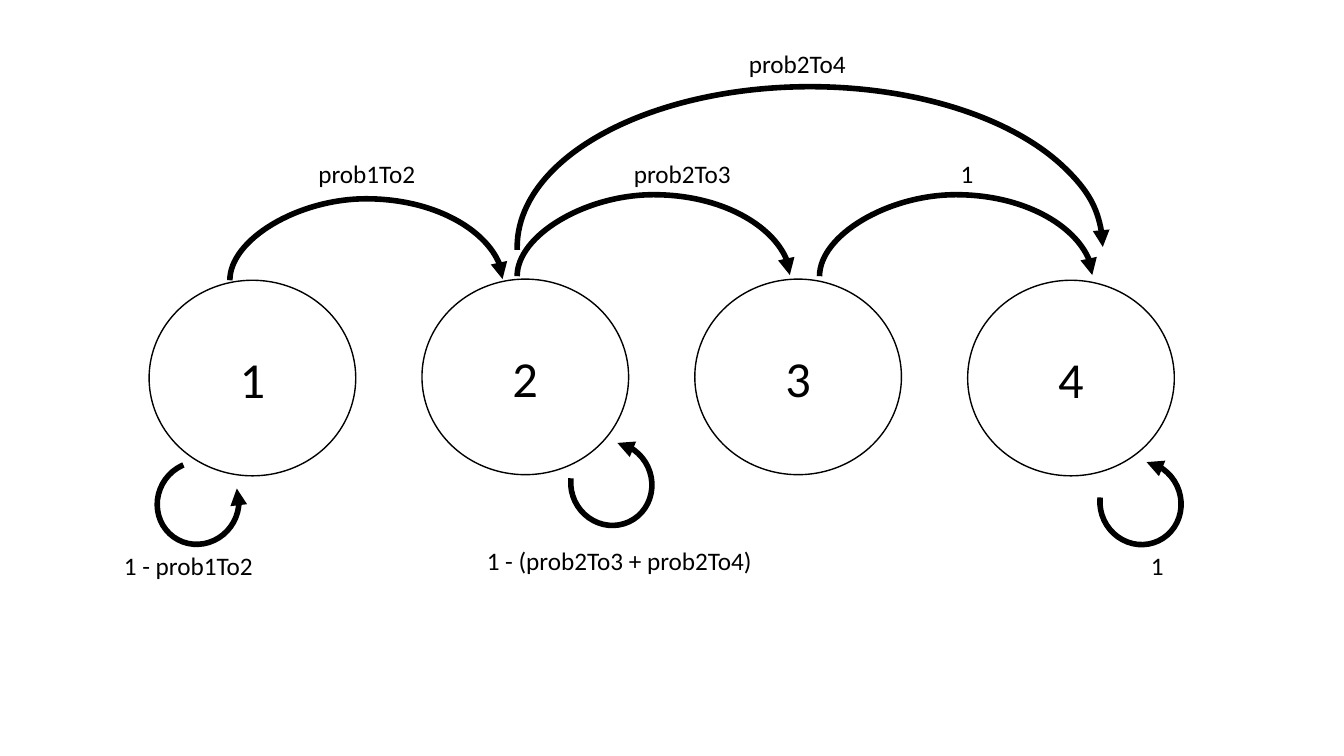
from lxml.etree import SubElement
from pptx import Presentation
from pptx.dml.color import RGBColor
from pptx.enum.shapes import MSO_CONNECTOR, MSO_SHAPE
from pptx.enum.text import MSO_ANCHOR, MSO_AUTO_SIZE, PP_ALIGN
from pptx.oxml.ns import qn
from pptx.util import Pt

BLACK = RGBColor(0, 0, 0)
WHITE = RGBColor(255, 255, 255)

STATES = [("1", 200.2), ("2", 199.4), ("3", 199.4), ("4", 200.2)]
STATE_LEFT, STATE_STEP, STATE_SIZE = 106.5, 194.9, (147.6, 139.7)

JUMPS = [(164.2, 200.2), (369.4, 197.3), (585.4, 197.3)]
JUMP_SPAN, JUMP_DROP, JUMP_BEND = 194.8, 0.82, 7080200

LOOP_SIZE, LOOP_ANGLES = (59.8, 57.6), (20.23, 181.91)
LONG_SIZE, LONG_ANGLES = (418.3, 229), (107.66, 0)
ARCS = [
    (406.8, 316.8, LOOP_SIZE, LOOP_ANGLES, 244.7, "headEnd"),
    (111.6, 330.5, LOOP_SIZE, LOOP_ANGLES, 305.8, "headEnd"),
    (784.8, 330.5, LOOP_SIZE, LOOP_ANGLES, 244.7, "headEnd"),
    (369.4, 61.9, LONG_SIZE, LONG_ANGLES, 0, "tailEnd"),
]

LABEL_HEIGHT = 29
LABELS = [
    ("prob1To2", 220.3, 109.4, 101.5),
    ("prob2To3", 445.7, 109.4, 101.5),
    ("1", 679, 109.4, 101.5),
    ("prob2To4", 527.8, 31, 101.5),
    ("1 - (prob2To3 + prob2To4)", 340.6, 385.9, 252.7),
    ("1 - prob1To2", 81.4, 389.5, 252.7),
    ("1", 815, 389.5, 32.4),
]


def write(box, text, size, align):
    para = box.text_frame.paragraphs[0]
    para.alignment = align
    span = para.add_run()
    span.text = text
    span.font.color.rgb = BLACK
    for name, value in {"name": "Calibri", "size": Pt(size)}.items():
        setattr(span.font, name, value)


def draw_arrow(shape, end):
    shape.line.color.rgb = BLACK
    shape.line.width = Pt(4)
    SubElement(shape.line._get_or_add_ln(), qn("a:" + end), type="triangle")


def add_state(page, index, text, top):
    left = STATE_LEFT + index * STATE_STEP
    circle = page.shapes.add_shape(
        MSO_SHAPE.OVAL, *map(Pt, (left, top, *STATE_SIZE)))
    circle.shadow.inherit = False
    circle.fill.solid()
    circle.fill.fore_color.rgb = WHITE
    circle.line.color.rgb = BLACK
    circle.line.width = Pt(1)
    circle.text_frame.vertical_anchor = MSO_ANCHOR.MIDDLE
    write(circle, text, 36, PP_ALIGN.CENTER)


def add_jump(page, x, y):
    half_span, half_drop = JUMP_SPAN / 2, JUMP_DROP / 2
    middle_x, middle_y = x + half_span, y - half_drop
    ends = (middle_x + half_drop, middle_y + half_span,
            middle_x - half_drop, middle_y - half_span)
    jump = page.shapes.add_connector(MSO_CONNECTOR.CURVE, *map(Pt, ends))
    properties = jump._element.spPr
    properties.find(qn("a:xfrm")).set("rot", str(90 * 60000))
    geometry = properties.find(qn("a:prstGeom"))
    guides = geometry.find(qn("a:avLst"))
    if guides is None:
        guides = SubElement(geometry, qn("a:avLst"))
    SubElement(guides, qn("a:gd"), name="adj1", fmla=f"val {JUMP_BEND}")
    draw_arrow(jump, "tailEnd")
    SubElement(properties, qn("a:effectLst"))


def add_arc(page, left, top, size, angles, rotation, end):
    arc = page.shapes.add_shape(MSO_SHAPE.ARC, *map(Pt, (left, top, *size)))
    arc.shadow.inherit = False
    arc.fill.background()
    arc.rotation = rotation
    for index, angle in enumerate(angles):
        arc.adjustments[index] = angle
    draw_arrow(arc, end)


def add_label(page, text, left, top, width):
    box = page.shapes.add_textbox(*map(Pt, (left, top, width, LABEL_HEIGHT)))
    frame_format = {"word_wrap": True, "auto_size": MSO_AUTO_SIZE.SHAPE_TO_FIT_TEXT}
    for name, value in frame_format.items():
        setattr(box.text_frame, name, value)
    write(box, text, 18, PP_ALIGN.LEFT)


def main():
    deck = Presentation()
    deck.slide_width, deck.slide_height = Pt(960), Pt(540)
    page = deck.slides.add_slide(deck.slide_layouts[6])
    for index, state in enumerate(STATES):
        add_state(page, index, *state)
    for jump in JUMPS:
        add_jump(page, *jump)
    for arc in ARCS:
        add_arc(page, *arc)
    for label in LABELS:
        add_label(page, *label)
    deck.save("out.pptx")


if __name__ == "__main__":
    main()
